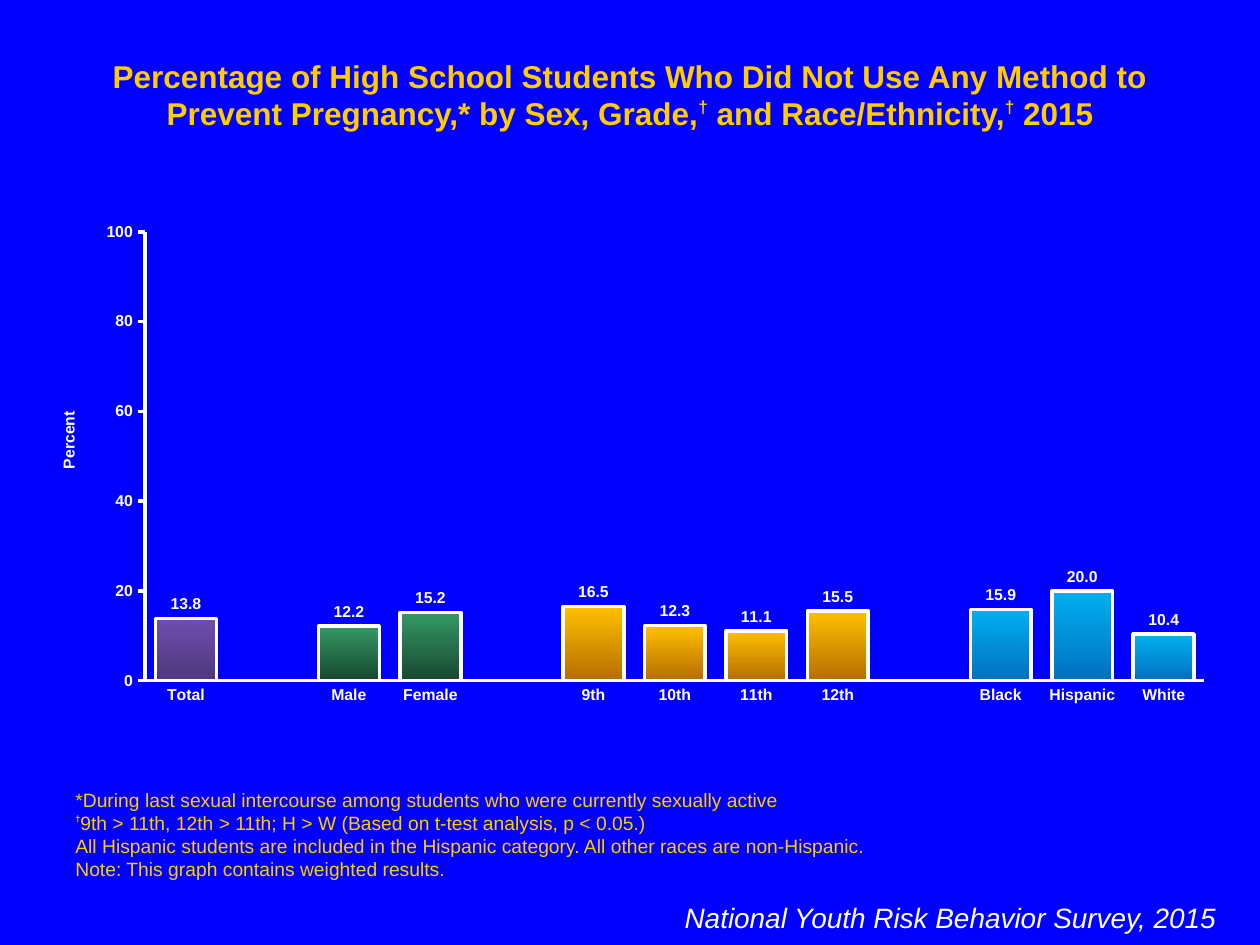
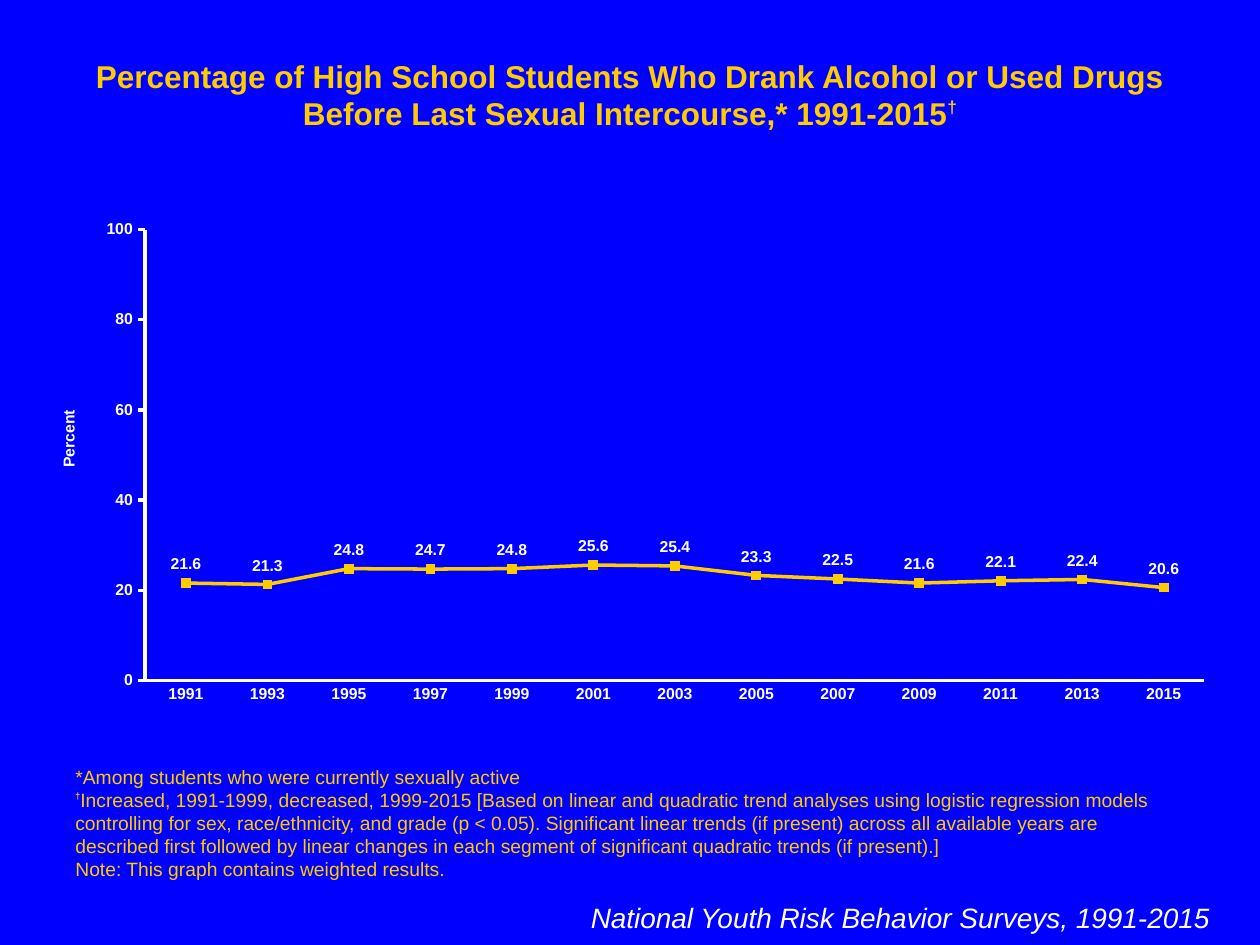
import pptx
import pptx.chart.data
import pptx.dml.color
import pptx.enum.chart
import pptx.enum.text
import pptx.oxml
import pptx.oxml.ns
import pptx.util

Inches = pptx.util.Inches
Pt = pptx.util.Pt
RGB = pptx.dml.color.RGBColor
Align = pptx.enum.text.PP_ALIGN
Anchor = pptx.enum.text.MSO_ANCHOR
Kind = pptx.enum.chart.XL_CHART_TYPE
Tick = pptx.enum.chart.XL_TICK_MARK
Spot = pptx.enum.chart.XL_LABEL_POSITION

# Shared colours and fonts
BLUE = RGB(0x00, 0x00, 0xFF)
GOLD = RGB(0xFF, 0xCC, 0x00)
WHITE = RGB(0xFF, 0xFF, 0xFF)
PURPLE = RGB(0x6E, 0x4E, 0xAE), RGB(0x4F, 0x38, 0x7C)
GREEN = RGB(0x33, 0x99, 0x66), RGB(0x18, 0x47, 0x2F)
AMBER = RGB(0xFF, 0xC0, 0x00), RGB(0xB6, 0x6D, 0x00)
CYAN = RGB(0x00, 0xB0, 0xF0), RGB(0x00, 0x70, 0xC0)

TITLE = {"name": "Arial", "size": Pt(18), "bold": True}
NOTE = {"name": "Arial", "size": Pt(11), "bold": False}
SOURCE = {"name": "Arial", "size": Pt(16), "italic": True}
SMALL = {"name": "Arial", "size": Pt(9), "bold": True}
SCALE = {"minimum_scale": 0, "maximum_scale": 100, "major_unit": 20,
         "major_tick_mark": Tick.OUTSIDE}

# Shared boxes: left, top, width, height in inches
HEAD = 0.5, 0.4, 9, 0.4
FOOT = 0.5, 6.75, 9, 0.29

WEIGHT = "Note: This graph contains weighted results."


def put(part, form):
    for key, value in form.items():
        setattr(part, key, value)


def ink(font, form, color):
    put(font, form)
    font.color.rgb = color


def stroke(line, color):
    line.color.rgb = color
    line.width = Pt(2)


def text(slide, box, lines, form, color, align, anchor=Anchor.TOP,
         mark=None, lift=0):
    """Add paragraphs; each dagger is raised in the mark format."""
    frame = slide.shapes.add_textbox(*map(Inches, box)).text_frame
    put(frame, {"word_wrap": True, "vertical_anchor": anchor})
    for row, line in enumerate(lines):
        para = frame.add_paragraph() if row else frame.paragraphs[0]
        para.alignment = align
        for item, words in enumerate(line.split("†")):
            if item:
                run = para.add_run()
                run.text = "†"
                ink(run.font, form | mark, color)
                run.font._element.set("baseline", str(lift * 1000))
            if words:
                run = para.add_run()
                run.text = words
                ink(run.font, form, color)


def place(node, after, inner, **spots):
    """Give a chart part a manual layout, as fractions of the chart."""
    for old in node.findall(pptx.oxml.ns.qn("c:layout")):
        node.remove(old)
    target = '<c:layoutTarget val="inner"/>' if inner else ""
    modes = "".join(f'<c:{key}Mode val="edge"/>' for key in "xy")
    sizes = "".join(f'<c:{key} val="{val}"/>' for key, val in spots.items())
    layout = pptx.oxml.parse_xml(
        f'<c:layout {pptx.oxml.ns.nsdecls("c")}><c:manualLayout>'
        f'{target}{modes}{sizes}</c:manualLayout></c:layout>')
    node.insert(after, layout)


def graph(slide, box, kind, names, values):
    """Add a percent chart and return it with its only series."""
    data = pptx.chart.data.CategoryChartData(number_format="0.0")
    data.categories = names
    data.add_series("Series 1", values)
    chart = slide.shapes.add_chart(kind, *map(Inches, box), data).chart
    put(chart, {"has_legend": False, "has_title": False})
    ink(chart.font, {"name": "Arial", "size": Pt(18)}, WHITE)

    # Axes
    for axis in (chart.category_axis, chart.value_axis):
        put(axis, {"has_major_gridlines": False,
                   "major_tick_mark": Tick.NONE,
                   "minor_tick_mark": Tick.NONE})
        ink(axis.tick_labels.font, SMALL, WHITE)
        stroke(axis.format.line, WHITE)
    put(chart.value_axis, SCALE)
    put(chart.value_axis.tick_labels,
        {"number_format": "#,##0", "number_format_is_linked": False})
    title = chart.value_axis.axis_title
    para = title.text_frame.paragraphs[0]
    para.text = "Percent"
    ink(para.runs[0].font, SMALL, WHITE)

    # Fixed plot and axis title positions
    place(title._element, 1, False, x=0.02, y=0.39)
    area = chart.plots[0]._element.getparent()
    place(area, 0, True, x=0.095, y=0.038, w=0.885, h=0.895)

    # Value labels
    plot = chart.plots[0]
    put(plot, {"vary_by_categories": False, "has_data_labels": True})
    spot = Spot.ABOVE if kind == Kind.LINE_MARKERS else Spot.OUTSIDE_END
    put(plot.data_labels,
        {"show_value": True, "number_format": "#,##0.0",
         "number_format_is_linked": False, "position": spot})
    ink(plot.data_labels.font, SMALL, WHITE)
    return plot, plot.series[0]


def bars(slide, box, groups):
    """Draw shaded groups of columns, one empty slot between groups."""
    names, values, shades = [], [], []
    for shade, group in groups:
        if names:
            names.append("")
            values.append(None)
            shades.append(None)
        names += group.keys()
        values += group.values()
        shades += [shade] * len(group)
    plot, series = graph(slide, box, Kind.COLUMN_CLUSTERED, names, values)
    put(plot, {"gap_width": 34, "overlap": 100})
    for spot, shade in enumerate(shades):
        if shade:
            form = series.points[spot].format
            form.fill.gradient()
            form.fill.gradient_angle = 270
            for stop, color in zip(form.fill.gradient_stops, shade):
                stop.color.rgb = color
            stroke(form.line, WHITE)


def trend(slide, box, years, values):
    """Draw one line with square markers."""
    names = [str(year) for year in years]
    series = graph(slide, box, Kind.LINE_MARKERS, names, values)[1]
    series.smooth = False
    stroke(series.format.line, GOLD)
    put(series.marker, {"style": pptx.enum.chart.XL_MARKER_STYLE.SQUARE,
                        "size": 5})
    series.marker.format.fill.solid()
    series.marker.format.fill.fore_color.rgb = GOLD
    series.marker.format.line.color.rgb = GOLD


def page(deck, title, notes, source, box):
    """Add a slide with its title, footnotes and source line."""
    slide = deck.slides.add_slide(deck.slide_layouts[6])
    text(slide, HEAD, [title], TITLE, GOLD, Align.CENTER,
         mark={"size": Pt(17)}, lift=40)
    text(slide, FOOT, notes + [WEIGHT], NOTE, GOLD, Align.LEFT,
         Anchor.BOTTOM, {"size": Pt(9), "bold": True}, 50)
    text(slide, box, [source], SOURCE, WHITE, Align.RIGHT)
    return slide


def main():
    deck = pptx.Presentation()
    put(deck, {"slide_width": Inches(10), "slide_height": Inches(7.5)})
    back = deck.slide_master.background.fill
    back.solid()
    back.fore_color.rgb = BLUE

    # Pregnancy prevention by group
    slide = page(
        deck,
        "Percentage of High School Students Who Did Not Use Any Method to "
        "Prevent Pregnancy,* by Sex, Grade,† and Race/Ethnicity,† 2015",
        ["*During last sexual intercourse among students who were currently "
         "sexually active",
         "†9th > 11th, 12th > 11th; H > W (Based on t-test analysis, "
         "p < 0.05.)",
         "All Hispanic students are included in the Hispanic category. "
         "All other races are non-Hispanic."],
        "National Youth Risk Behavior Survey, 2015", (4.25, 7.1, 5.5, 0.37))
    bars(slide, (0.25, 1.69, 9.5, 3.98), [
        (PURPLE, {"Total": 13.8}),
        (GREEN, {"Male": 12.2, "Female": 15.2}),
        (AMBER, {"9th": 16.5, "10th": 12.3, "11th": 11.1, "12th": 15.5}),
        (CYAN, {"Black": 15.9, "Hispanic": 20, "White": 10.4})])

    # Alcohol or drug use over time
    slide = page(
        deck,
        "Percentage of High School Students Who Drank Alcohol or Used Drugs "
        "Before Last Sexual Intercourse,* 1991-2015†",
        ["*Among students who were currently sexually active",
         "†Increased, 1991-1999, decreased, 1999-2015 [Based on linear and "
         "quadratic trend analyses using logistic regression models "
         "controlling for sex, race/ethnicity, and grade (p < 0.05). "
         "Significant linear trends (if present) across all available years "
         "are described first followed by linear changes in each segment of "
         "significant quadratic trends (if present).]"],
        "National Youth Risk Behavior Surveys, 1991-2015",
        (4.53, 7.1, 5.17, 0.37))
    trend(slide, (0.25, 1.67, 9.5, 4), range(1991, 2016, 2),
          [21.6, 21.3, 24.8, 24.7, 24.8, 25.6, 25.4, 23.3, 22.5, 21.6,
           22.1, 22.4, 20.6])

    deck.save("out.pptx")


if __name__ == "__main__":
    main()
